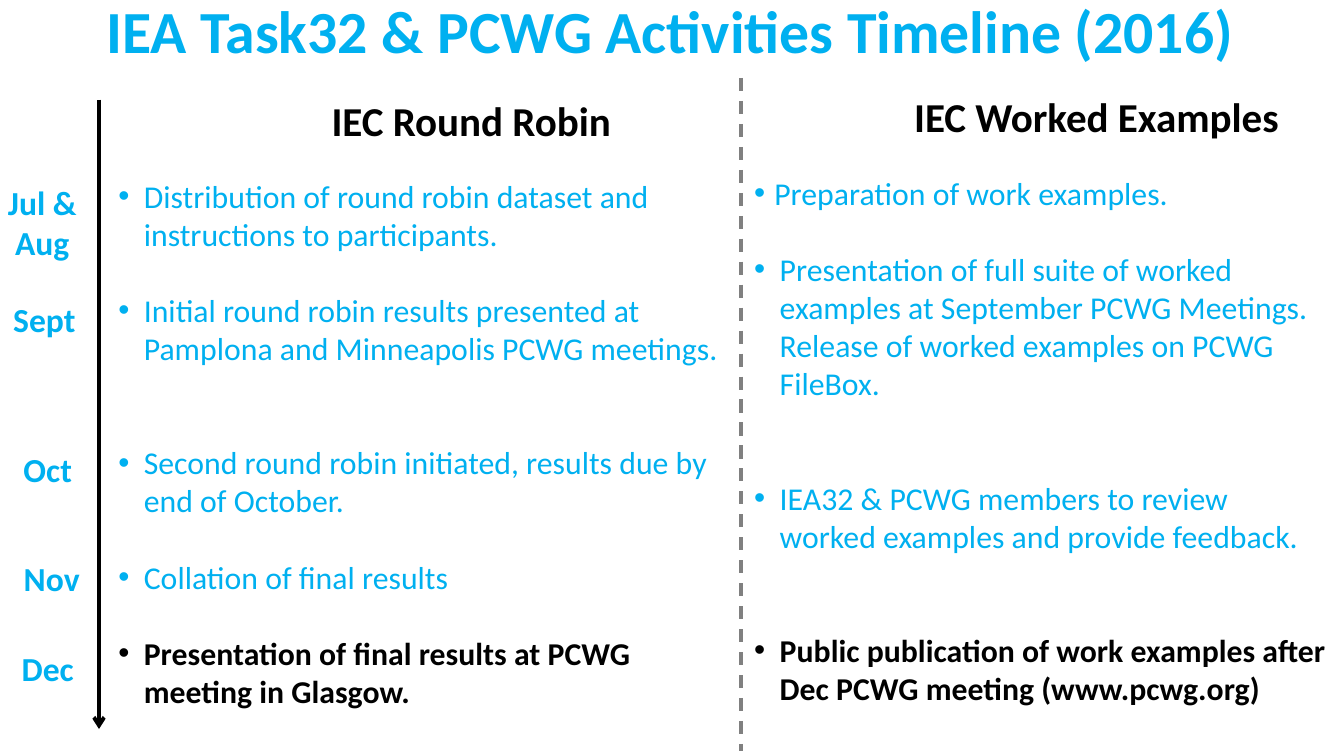
from pptx import Presentation
from pptx.dml.color import RGBColor
from pptx.enum.dml import MSO_LINE_DASH_STYLE as Dash
from pptx.enum.shapes import MSO_CONNECTOR as Conn
from pptx.enum.text import MSO_ANCHOR as Anchor, MSO_AUTO_SIZE as AutoSize, PP_ALIGN as Align
from pptx.oxml.ns import qn
from pptx.util import Inches, Pt
from lxml.etree import SubElement

W = Inches(10)
H = W * 9 // 16
FONT, SKY, BLACK, GREY = "Calibri", "00B0F0", "000000", "808080"
BODY_SIZE, LINE_HEIGHT = 17, 20.4
MARGINS = ("margin_left", "margin_top", "margin_right", "margin_bottom")
TITLE_INSETS = dict(zip(MARGINS, map(Inches, (0.14, 0.07, 0.14, 0.07))))

# Months: label, box (percent of the slide's width and height)
MONTHS = [
    ("Jul & Aug", (-0.75, 23.13, 7.8, 12.63)),
    ("Sept", (-0.6, 38.61, 7.8, 7.12)),
    ("Oct", (-0.1, 58.54, 7.3, 7.12)),
    ("Nov", (0.2, 72.95, 7.3, 7.12)),
    ("Dec", (-0.1, 84.88, 7.3, 7.12)),
]
# Activities: text, lines of space before, indent in inches
ROUND_ROBIN = [
    ("Distribution of round robin dataset and instructions to participants.", 0, 0.19),
    ("Initial round robin results presented at Pamplona and Minneapolis PCWG meetings.", 1, 0.19),
    ("Second round robin initiated, results due by end of October.", 2, 0.19),
    ("Collation of final results", 1, 0.19),
    ("Presentation of final results at PCWG meeting in Glasgow.", 1, 0.19),
]
WORKED_EXAMPLES = [
    ("Preparation of work examples.", 0, 0.15),
    ("Presentation of full suite of worked examples at September PCWG Meetings. "
     "Release of worked examples on PCWG FileBox.", 1, 0.19),
    ("IEA32 & PCWG members to review worked examples and provide feedback.", 2, 0.19),
    ("Public publication of work examples after Dec PCWG meeting (www.pcwg.org)", 2, 0.19),
]


def rgb(value):
    return RGBColor.from_string(value)


def x(share):
    return round(W * share / 100)


def y(share):
    return round(H * share / 100)


def set_all(target, formats):
    for name, value in formats.items():
        setattr(target, name, value)


def add_box(s, box, **formats):
    left, top, width, height = box
    tf = s.shapes.add_textbox(x(left), y(top), x(width), y(height)).text_frame
    set_all(tf, {"word_wrap": True, **formats})
    return tf


def add_run(p, text, size, color, bold):
    r = p.add_run()
    r.text = text
    set_all(r.font, {"name": FONT, "size": Pt(size), "bold": bold})
    r.font.color.rgb = rgb(color)


def add_label(s, text, box, size, color, align=Align.CENTER, **formats):
    p = add_box(s, box, **formats).paragraphs[0]
    p.alignment = align
    add_run(p, text, size, color, True)


def add_bullets(s, items, box, **formats):
    tf = add_box(s, box, **formats)
    for i, (text, gap, indent) in enumerate(items):
        p = tf.add_paragraph() if i else tf.paragraphs[0]
        pPr = p._p.get_or_add_pPr()
        pPr.set("marL", str(Inches(indent)))
        pPr.set("indent", str(-Inches(indent)))
        SubElement(pPr, qn("a:buFont")).set("typeface", "Arial")
        SubElement(pPr, qn("a:buChar")).set("char", "•")
        if gap:
            p.space_before = Pt(gap * LINE_HEIGHT)
        # The closing activity stands out
        last = i == len(items) - 1
        add_run(p, text, BODY_SIZE, BLACK if last else SKY, last)


def add_rule(s, across, top, bottom, color, width, dash=None, arrow=False):
    line = s.shapes.add_connector(Conn.STRAIGHT, x(across), y(top), x(across), y(bottom))
    line.line.color.rgb = rgb(color)
    set_all(line.line, {"width": Pt(width), "dash_style": dash})
    if arrow:
        SubElement(line.line._get_or_add_ln(), qn("a:tailEnd")).set("type", "arrow")
    SubElement(line._element.spPr, qn("a:effectLst"))


def main():
    prs = Presentation()
    set_all(prs, {"slide_width": W, "slide_height": H})
    s = prs.slides.add_slide(prs.slide_layouts[6])

    # Title
    add_label(s, "IEA Task32 & PCWG Activities Timeline (2016)", (-0.1, 0.36, 100, 7.12),
              32, SKY, vertical_anchor=Anchor.MIDDLE, **TITLE_INSETS)

    # Two columns of activities with their divider and headings
    add_bullets(s, ROUND_ROBIN, (7.4, 22.1, 49.3, 77.22), **TITLE_INSETS)
    add_rule(s, 55.13, 10.32, 99.29, GREY, 1.75, dash=Dash.DASH)
    grow = {"auto_size": AutoSize.SHAPE_TO_FIT_TEXT}
    add_label(s, "IEC Round Robin", (18.87, 11.74, 32.4, 8.36), 22, BLACK, **grow)
    add_label(s, "IEC Worked Examples", (67.03, 11.21, 29.5, 8.36), 22, BLACK,
              align=Align.LEFT, word_wrap=False, **grow)
    add_bullets(s, WORKED_EXAMPLES, (55.13, 22.1, 44.8, 73.13), **grow)

    # Time axis and months
    add_rule(s, 7.37, 13.17, 96.44, BLACK, 2, arrow=True)
    for month, box in MONTHS:
        add_label(s, month, box, 18, SKY, **grow)

    prs.save("out.pptx")


if __name__ == "__main__":
    main()
